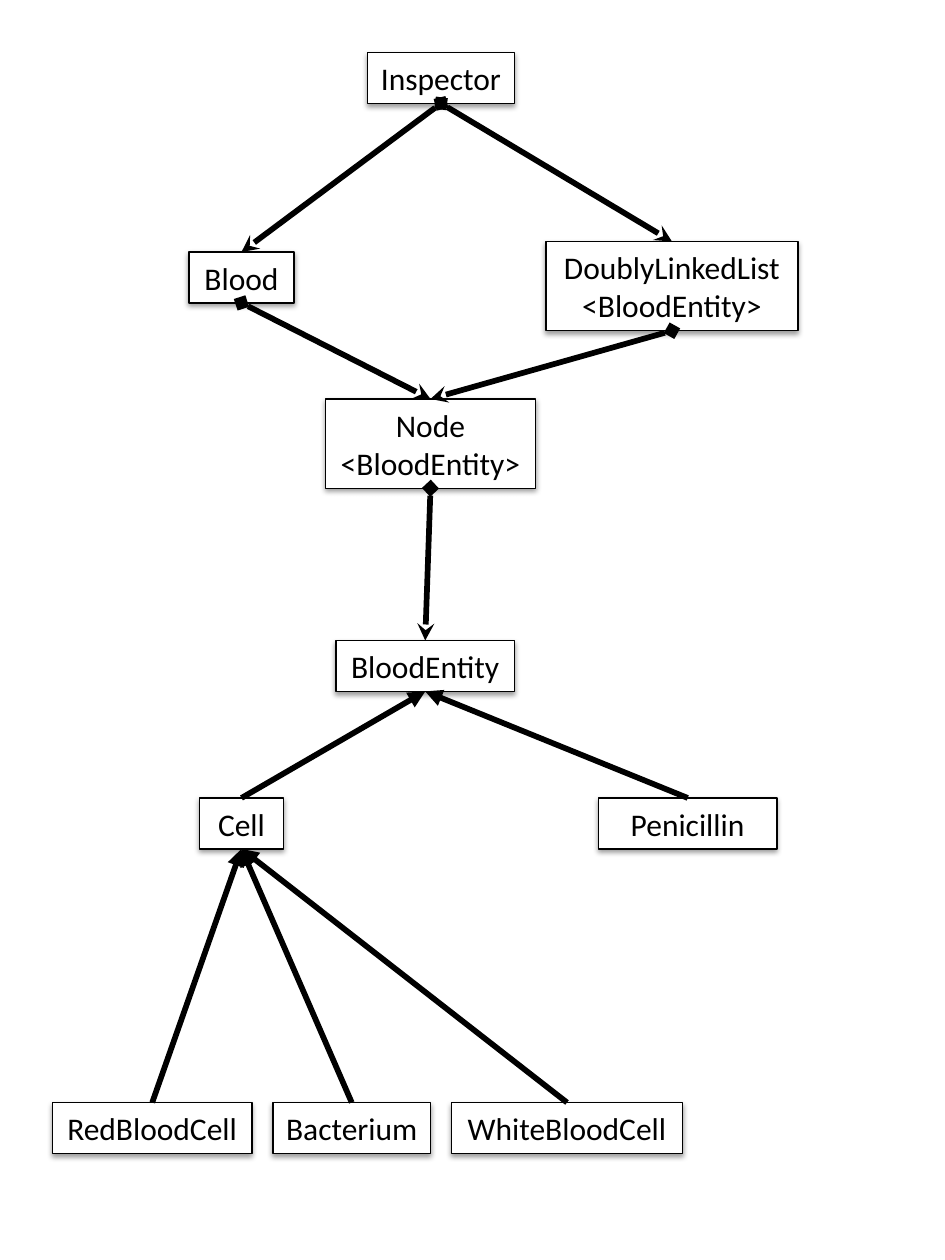
from collections import namedtuple
from pptx import Presentation
from pptx.dml.color import RGBColor
from pptx.enum.shapes import MSO_CONNECTOR, MSO_SHAPE
from pptx.enum.text import MSO_ANCHOR, MSO_AUTO_SIZE, PP_ALIGN
from pptx.oxml import parse_xml
from pptx.oxml.ns import nsdecls
from pptx.util import Inches, Pt

Box = namedtuple("Box", "left top width height")
COLUMNS, ROWS = 90, 120
WIDTH, HEIGHT = Inches(7.5), Inches(10)
CELL = WIDTH / COLUMNS
LINE_ROWS, PADDING_ROWS = 3.65, 1.2
TOP, BOTTOM = 0, 2
BLACK, WHITE = "000000", "FFFFFF"

FRAME_FORMAT = {
    "word_wrap": True,
    "auto_size": MSO_AUTO_SIZE.SHAPE_TO_FIT_TEXT,
    "vertical_anchor": MSO_ANCHOR.MIDDLE,
    "margin_left": Inches(0.05),
    "margin_right": Inches(0.05),
}
FONT_FORMAT = {"name": "Calibri", "size": Pt(18)}


def colour(value):
    return RGBColor.from_string(value)


def apply_format(target, values):
    for name, value in values.items():
        setattr(target, name, value)


def add_xml(parent, tag, attributes="", content=""):
    parent.append(parse_xml(
        f'<a:{tag} {nsdecls("a")} {attributes}>{content}</a:{tag}>'))


def add_shadow(shape):
    shape.shadow.inherit = False
    effects = shape.element.spPr.find(
        "{http://schemas.openxmlformats.org/drawingml/2006/main}effectLst")
    add_xml(
        effects, "outerShdw",
        f'blurRad="{Pt(3.1)}" dist="{Pt(1.6)}" dir="5400000" rotWithShape="0"',
        f'<a:srgbClr val="{BLACK}"><a:alpha val="38000"/></a:srgbClr>')


def add_class(page, box, lines):
    shape = page.shapes.add_shape(MSO_SHAPE.RECTANGLE, *box)
    shape.fill.solid()
    shape.fill.fore_color.rgb = colour(WHITE)
    shape.line.color.rgb = colour(BLACK)
    shape.line.width = Pt(0.75)
    add_shadow(shape)
    frame = shape.text_frame
    apply_format(frame, FRAME_FORMAT)
    for index, line in enumerate(lines):
        para = frame.add_paragraph() if index else frame.paragraphs[0]
        para.alignment = PP_ALIGN.CENTER
        span = para.add_run()
        span.text = line
        apply_format(span.font, FONT_FORMAT)
        span.font.color.rgb = colour(BLACK)
    return shape


def add_link(page, start, start_side, end, end_side, ends):
    link = page.shapes.add_connector(MSO_CONNECTOR.STRAIGHT, 0, 0, 0, 0)
    link.begin_connect(start, start_side)
    link.end_connect(end, end_side)
    link.line.color.rgb = colour(BLACK)
    link.line.width = Pt(3.25)
    for tag, kind in ends.items():
        add_xml(link.line._get_or_add_ln(), tag, f'type="{kind}"')
    add_xml(link.element.spPr, "effectLst")


def place_classes(page, box, classes):
    shapes = {}
    for name, (column, row, span, lines) in classes.items():
        height = PADDING_ROWS + LINE_ROWS * len(lines)
        place = Box(box.left + column * CELL, box.top + row * CELL,
                    span * CELL, height * CELL)
        shapes[name] = add_class(page, Box(*map(round, place)), lines)
    return shapes


def place_ownership(page, box):
    return place_classes(page, box, {
        "inspector": (35, 5, 14, ["Inspector"]),
        "blood": (18, 24, 10, ["Blood"]),
        "list": (52, 23, 24, ["DoublyLinkedList", "<BloodEntity>"]),
        "node": (31, 38, 20, ["Node", "<BloodEntity>"]),
    })


def place_hierarchy(page, box):
    return place_classes(page, box, {
        "entity": (32, 1, 17, ["BloodEntity"]),
        "cell": (19, 16, 8, ["Cell"]),
        "penicillin": (57, 16, 17, ["Penicillin"]),
        "red": (5, 45, 19, ["RedBloodCell"]),
        "bacterium": (26, 45, 15, ["Bacterium"]),
        "white": (43, 45, 22, ["WhiteBloodCell"]),
    })


def place_links(page, shapes):
    owns = [("inspector", "blood"), ("inspector", "list"), ("blood", "node"),
            ("list", "node"), ("node", "entity")]
    extends = [("penicillin", "entity"), ("cell", "entity"), ("white", "cell"),
               ("bacterium", "cell"), ("red", "cell")]
    for owner, part in owns:
        add_link(page, shapes[owner], BOTTOM, shapes[part], TOP,
                 {"headEnd": "diamond", "tailEnd": "stealth"})
    for child, parent in extends:
        add_link(page, shapes[child], TOP, shapes[parent], BOTTOM,
                 {"tailEnd": "triangle"})


def main():
    deck = Presentation()
    apply_format(deck, {"slide_width": WIDTH, "slide_height": HEIGHT})
    page = deck.slides.add_slide(deck.slide_layouts[6])
    half = HEIGHT // 2
    shapes = place_ownership(page, Box(0, 0, WIDTH, half))
    shapes.update(place_hierarchy(page, Box(0, half, WIDTH, half)))
    place_links(page, shapes)
    deck.save("out.pptx")


if __name__ == "__main__":
    main()
